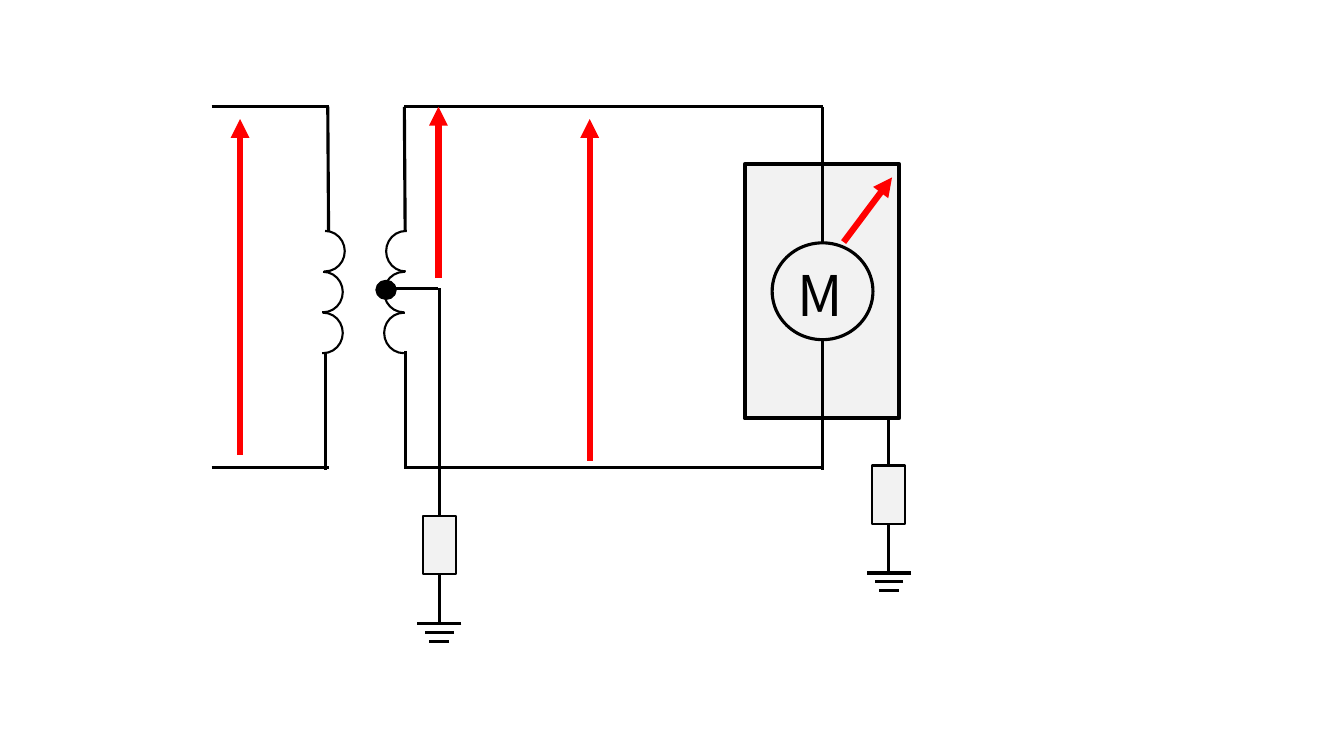
"""Draw a transformer with a tapped winding that feeds an earthed motor."""
from dataclasses import dataclass
from typing import Optional

from lxml import etree
from pptx import Presentation
from pptx.dml.color import RGBColor
from pptx.enum.shapes import MSO_CONNECTOR, MSO_SHAPE
from pptx.enum.text import MSO_AUTO_SIZE
from pptx.oxml.ns import qn
from pptx.util import Cm, Pt

BLACK = RGBColor(0x00, 0x00, 0x00)
RED = RGBColor(0xFF, 0x00, 0x00)
GREY = RGBColor(0xF2, 0xF2, 0xF2)
FONT = "Noto Sans CJK JP"
RECT = MSO_SHAPE.RECTANGLE
OVAL = MSO_SHAPE.OVAL
ARC = MSO_SHAPE.ARC
LINE = MSO_CONNECTOR.STRAIGHT
GROW = MSO_AUTO_SIZE.SHAPE_TO_FIT_TEXT
TOP, BASE = 2.69, 11.79
COIL_TOP, PITCH = 5.82, 1.03


@dataclass
class Wire:
    x1: float
    y1: float
    x2: float
    y2: float


@dataclass
class Coil:
    x: float
    turn: float = 0


@dataclass
class Earth:
    x: float
    start: float
    top: float


CASE_WIRES = [
    Wire(10.19, TOP, 20.73, TOP),
    Wire(20.73, TOP, 20.73, 6.12),
    Wire(10.19, TOP, 10.21, COIL_TOP),
    Wire(10.21, 8.84, 10.21, BASE),
    Wire(8.2, 8.89, 8.2, 11.84),
    Wire(8.26, TOP, 8.28, COIL_TOP),
    Wire(10.19, BASE, 20.73, BASE),
    Wire(5.33, BASE, 8.28, BASE),
    Wire(5.33, TOP, 8.28, TOP),
    Wire(20.73, 8.56, 20.73, 11.84),
    Wire(11.05, 7.26, 9.73, 7.26),
]
ARROWS = [
    Wire(11.05, 7.01, 11.05, TOP),
    Wire(14.86, 11.61, 14.86, 3),
    Wire(6.05, 11.46, 6.05, 3),
    Wire(21.26, 6.1, 22.48, 4.47),
]
COILS = [Coil(7.65), Coil(9.68, 180)]
EARTHS = [Earth(11.07, 7.26, 13), Earth(22.4, 10.52, 11.73)]
BARS = [(0.56, 0), (0.36, 0.22), (0.25, 0.45)]


def add_form(slide, kind, x: float, y: float, w: float, h: float,
             fill: Optional[RGBColor] = None, width: float = 2.25):
    """Add one outlined preset shape."""
    form = slide.shapes.add_shape(kind, Cm(x), Cm(y), Cm(w), Cm(h))
    form.shadow.inherit = False
    if fill is None:
        form.fill.background()
    else:
        form.fill.solid()
        form.fill.fore_color.rgb = fill
    form.line.color.rgb = BLACK
    form.line.width = Pt(width)
    return form


def add_wire(slide, wire: Wire, color: RGBColor = BLACK,
             width: float = 2.25, head: bool = False) -> None:
    """Add a straight line, with an arrowhead at its end if asked."""
    link = slide.shapes.add_connector(
        LINE, Cm(wire.x1), Cm(wire.y1), Cm(wire.x2), Cm(wire.y2))
    link.line.color.rgb = color
    link.line.width = Pt(width)
    props = link.line._get_or_add_ln()
    if head:
        etree.SubElement(props, qn("a:tailEnd"), type="triangle")
    etree.SubElement(props.getparent(), qn("a:effectLst"))


def add_coil(slide, coil: Coil) -> None:
    """Add the three half turns of a winding."""
    for row, shift in enumerate((0.05, 0, 0)):
        loop = add_form(slide, ARC, coil.x + shift, COIL_TOP + row * PITCH,
                        0.99, 1.02, width=1.5)
        loop.adjustments[0] = 162
        loop.adjustments[1] = 55.656
        loop.rotation = coil.turn


def add_earth(slide, earth: Earth) -> None:
    """Add a lead, a resistor and an earth sign."""
    x, top = earth.x, earth.top
    add_wire(slide, Wire(x, earth.start, x, top))
    add_form(slide, RECT, x - 0.42, top, 0.84, 1.47, GREY, 1.5)
    foot = top + 2.71
    add_wire(slide, Wire(x, top + 1.47, x, foot))
    for half, drop in BARS:
        add_wire(slide, Wire(x + half, foot + drop, x - half, foot + drop))


def add_text(slide, text: str, *, x: float, y: float, w: float, h: float,
             size: float, color: RGBColor = BLACK) -> None:
    """Add a text box that does not wrap."""
    box = slide.shapes.add_textbox(Cm(x), Cm(y), Cm(w), Cm(h))
    frame = box.text_frame
    frame.word_wrap = False
    frame.auto_size = GROW
    run = frame.paragraphs[0].add_run()
    run.text = text
    run.font.name = FONT
    run.font.size = Pt(size)
    run.font.color.rgb = color


def main() -> None:
    """Build and save the slide."""
    deck = Presentation()
    deck.slide_width, deck.slide_height = Cm(33.87), Cm(19.05)
    slide = deck.slides.add_slide(deck.slide_layouts[6])
    add_form(slide, RECT, 18.77, 4.14, 3.89, 6.4, GREY, 3)
    for coil in COILS:
        add_coil(slide, coil)
    add_form(slide, OVAL, 19.46, 6.12, 2.54, 2.44)
    for wire in CASE_WIRES:
        add_wire(slide, wire)
    for earth in EARTHS:
        add_earth(slide, earth)
    add_text(slide, "M", x=19.84, y=6.43, w=1.83, h=1.96, size=40)
    for arrow in ARROWS:
        add_wire(slide, arrow, RED, 4.5, head=True)
    add_form(slide, OVAL, 9.5, 7.09, 0.46, 0.43, BLACK)
    deck.save("out.pptx")


if __name__ == "__main__":
    main()
